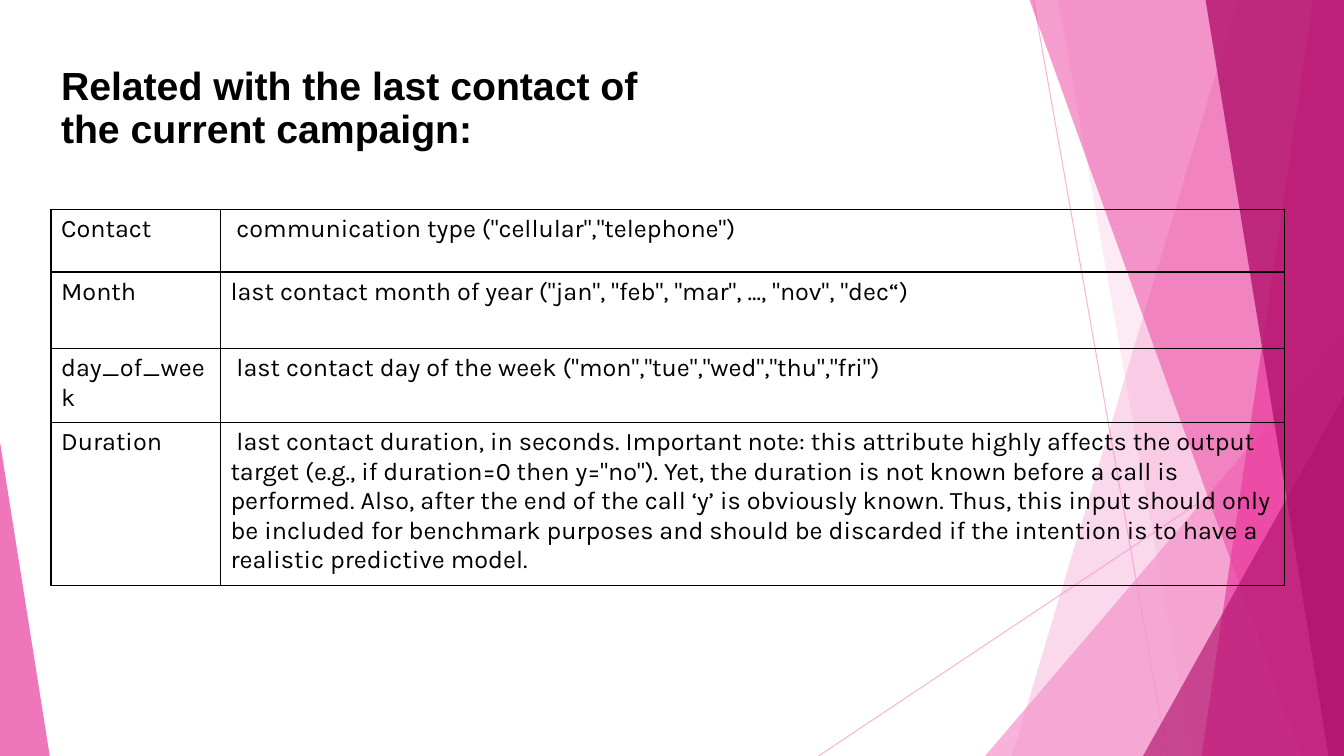
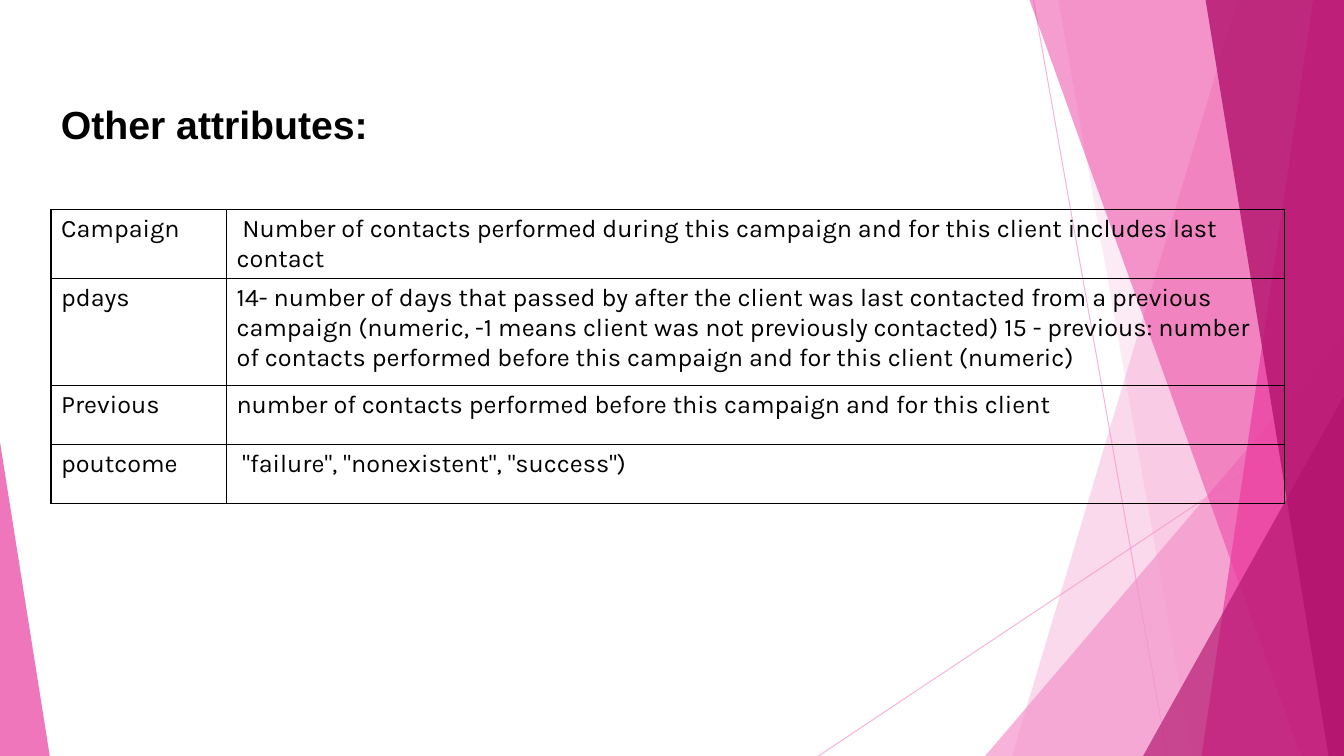
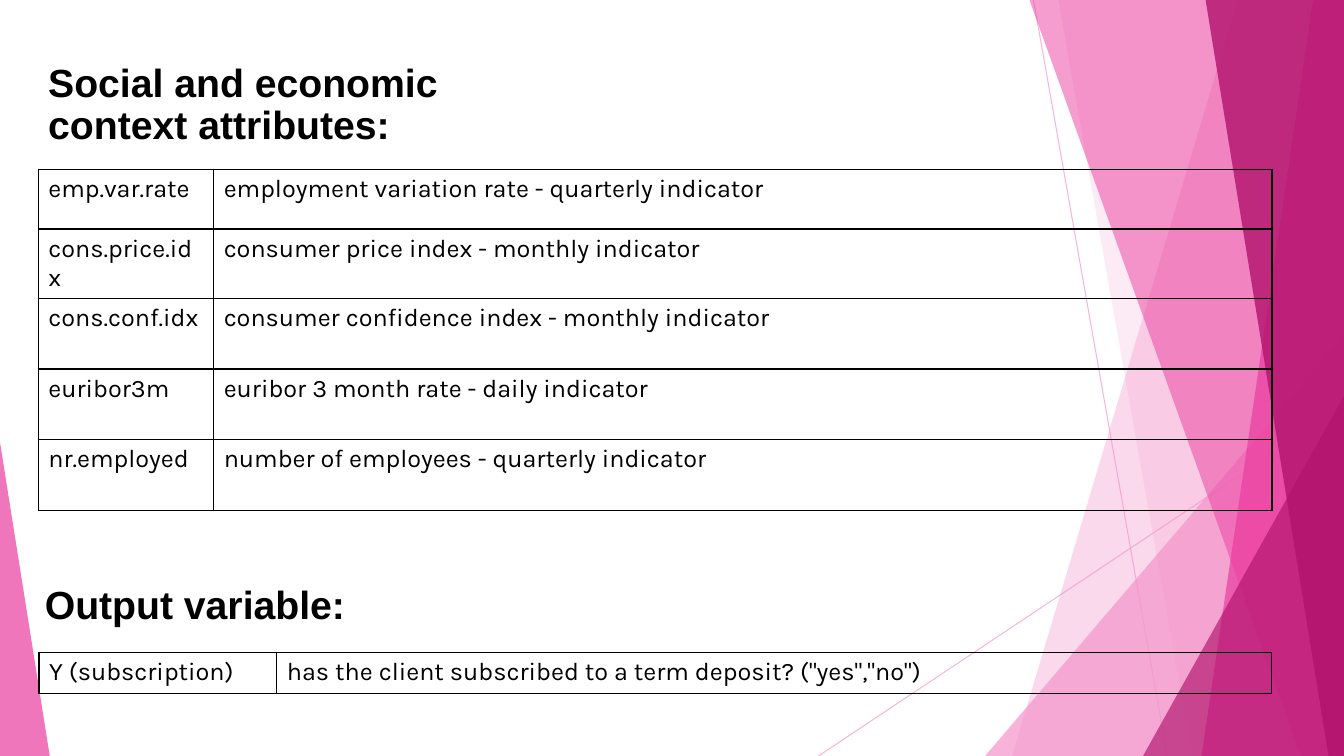
from lxml import etree
from pptx import Presentation
from pptx.dml.color import RGBColor
from pptx.enum.shapes import MSO_CONNECTOR, MSO_SHAPE
from pptx.enum.text import MSO_ANCHOR
from pptx.oxml.ns import qn
from pptx.util import Inches, Pt

WIDTH, HEIGHT = Inches(13.33), Inches(7.5)
LINE, WEDGE, MIDDLE = MSO_CONNECTOR.STRAIGHT, MSO_SHAPE.ISOSCELES_TRIANGLE, MSO_ANCHOR.MIDDLE
COLORS = {"ink": "000000", "light": "F496CB", "pink": "EB3D9F", "dark": "B2136D"}
HEAD, BODY = "Arial", "Karla"

# Places and sizes are percent of the slide's width (x) or height (y).
CONTACT = [
    (8.27, "Contact", ' communication type ("cellular","telephone")'),
    (10.1, "Month", 'last contact month of year ("jan", "feb", "mar", ..., "nov", "dec“)'),
    (9.8, "day_of_week", ' last contact day of the week ("mon","tue","wed","thu","fri")'),
    (21.6, "Duration",
     " last contact duration, in seconds. Important note: this attribute highly affects "
     'the output target (e.g., if duration=0 then y="no"). Yet, the duration is not known '
     "before a call is performed. Also, after the end of the call ‘y’ is obviously known. "
     "Thus, this input should only be included for benchmark purposes and should be "
     "discarded if the intention is to have a realistic predictive model."),
]
OTHER = [
    (9.1, "Campaign",
     " Number of contacts performed during this campaign and for this client "
     "includes last contact"),
    (14.15, "pdays",
     "14- number of days that passed by after the client was last contacted from a "
     "previous campaign (numeric, -1 means client was not previously contacted) "
     "15 - previous: number of contacts performed before this campaign and for this "
     "client (numeric)"),
    (7.8, "Previous", "number of contacts performed before this campaign and for this client"),
    (7.8, "poutcome", ' "failure", "nonexistent", "success")'),
]
SOCIAL = [
    (7.9, "emp.var.rate", "employment variation rate - quarterly indicator"),
    (9.1, "cons.price.idx", "consumer price index - monthly indicator"),
    (9.35, "cons.conf.idx", "consumer confidence index - monthly indicator"),
    (9.35, "euribor3m", "euribor 3 month rate - daily indicator"),
    (9.35, "nr.employed", "number of employees - quarterly indicator"),
]
OUTPUT = [(5.45, "Y (subscription)", 'has the client subscribed to a term deposit? ("yes","no")')]


def across(share):
    return round(WIDTH * share / 100)


def down(share):
    return round(HEIGHT * share / 100)


def box(x, y, w, h):
    return across(x), down(y), across(w), down(h)


def rgb(name):
    return RGBColor.from_string(COLORS[name])


def fade(shape, share):
    """Make the shape's own colour opaque by this percentage."""
    tint = shape.element.find(".//" + qn("a:srgbClr"))
    etree.SubElement(tint, qn("a:alpha"), val=str(share * 1000))


def paint(shape, color, share):
    shape.shadow.inherit = False
    shape.fill.solid()
    shape.fill.fore_color.rgb = rgb(color)
    shape.line.fill.background()
    fade(shape, share)


def ray(shapes, x1, y1, x2, y2):
    line = shapes.add_connector(LINE, across(x1), down(y1), across(x2), down(y2))
    line.line.color.rgb = rgb("light")
    line.line.width = Pt(0.75)
    fade(line, 70)
    etree.SubElement(line.element.spPr, qn("a:effectLst"))


def band(shapes, top, foot, color, share):
    """Fill from a slanted left side to the slide's right edge."""
    path = shapes.build_freeform(across(top), 0)
    path.add_line_segments([(WIDTH, 0), (WIDTH, HEIGHT), (across(foot), HEIGHT)])
    paint(path.convert_to_shape(), color, share)


def wedge(shapes, x, y, w, tip, color, share):
    """Draw a triangle on the foot of the slide, its tip at 0 (left) or 1 (right)."""
    shape = shapes.add_shape(WEDGE, *box(x, y, w, 100 - y))
    shape.adjustments[0] = tip
    paint(shape, color, share)


def backdrop(slide, layout):
    """Draw the facets as a group and move them to the layout."""
    for holder in list(layout.placeholders):
        layout.shapes.element.remove(holder.element)
    group = slide.shapes.add_group_shape()
    shapes = group.shapes
    ray(shapes, 76.9, 0, 86.85, 100)
    ray(shapes, 100, 53.7, 60.9, 100)
    band(shapes, 92.1, 75.3, "light", 36)
    band(shapes, 78.75, 88.7, "light", 20)
    wedge(shapes, 73.3, 44.4, 26.7, 1, "light", 72)
    band(shapes, 76.6, 96.8, "pink", 50)
    band(shapes, 97.7, 89.4, "pink", 70)
    band(shapes, 89.7, 98.85, "dark", 80)
    wedge(shapes, 85.05, 52.4, 14.95, 1, "dark", 66)
    wedge(shapes, 0, 58.5, 3.7, 0, "pink", 70)
    layout.shapes.element.append(group.element)


def style(para, font, size, bold=False):
    para.font.name = font
    para.font.size = Pt(size)
    para.font.bold = bold
    para.font.color.rgb = rgb("ink")


def title(slide, text, *place):
    frame = slide.shapes.add_textbox(*box(*place)).text_frame
    frame.word_wrap = True
    frame.vertical_anchor = MIDDLE
    frame.margin_bottom = Inches(0.45)
    para = frame.paragraphs[0]
    para.text = text
    para.line_spacing = 0.9
    style(para, HEAD, 28, True)


def border(cell):
    props = cell._tc.get_or_add_tcPr()
    for spot, side in enumerate(("lnL", "lnR", "lnT", "lnB")):
        line = etree.Element(qn("a:" + side), w=str(Pt(1)))
        fill = etree.SubElement(line, qn("a:solidFill"))
        etree.SubElement(fill, qn("a:srgbClr"), val=COLORS["ink"])
        props.insert(spot, line)


def grid(slide, rows, x, y, first, width=91.8):
    """Add a table of names and meanings; first is the name column's width."""
    high = sum(row[0] for row in rows)
    table = slide.shapes.add_table(len(rows), 2, *box(x, y, width, high)).table
    table.first_row = table.horz_banding = False
    for col, share in zip(table.columns, (first, width - first)):
        col.width = across(share)
    for row, (tall, *texts) in zip(table.rows, rows):
        row.height = down(tall)
        for cell, text in zip(row.cells, texts):
            cell.text = text
            cell.fill.background()
            border(cell)
            style(cell.text_frame.paragraphs[0], BODY, 18)


def main():
    deck = Presentation()
    deck.slide_width, deck.slide_height = WIDTH, HEIGHT
    blank = deck.slide_layouts[6]
    last, other, social = [deck.slides.add_slide(blank) for _ in range(3)]
    backdrop(last, blank)

    grid(last, CONTACT, 3.8, 27.7, 12.6)
    title(last, "Related with the last contact of the current campaign:", 3.8, 7.6, 48.15, 19.05)

    grid(other, OTHER, 3.8, 27.7, 13.05)
    title(other, "Other attributes:", 3.8, 11.2, 25.95, 16.55)

    grid(social, SOCIAL, 2.85, 22.4, 13.05)
    title(social, "Social and economic context attributes:", 2.85, 8.4, 33, 16.55)
    title(social, "Output variable:", 2.6, 74.4, 25.65, 17.2)
    grid(social, OUTPUT, 2.9, 86.3, 17.7, 91.7)
    deck.save("out.pptx")


if __name__ == "__main__":
    main()
